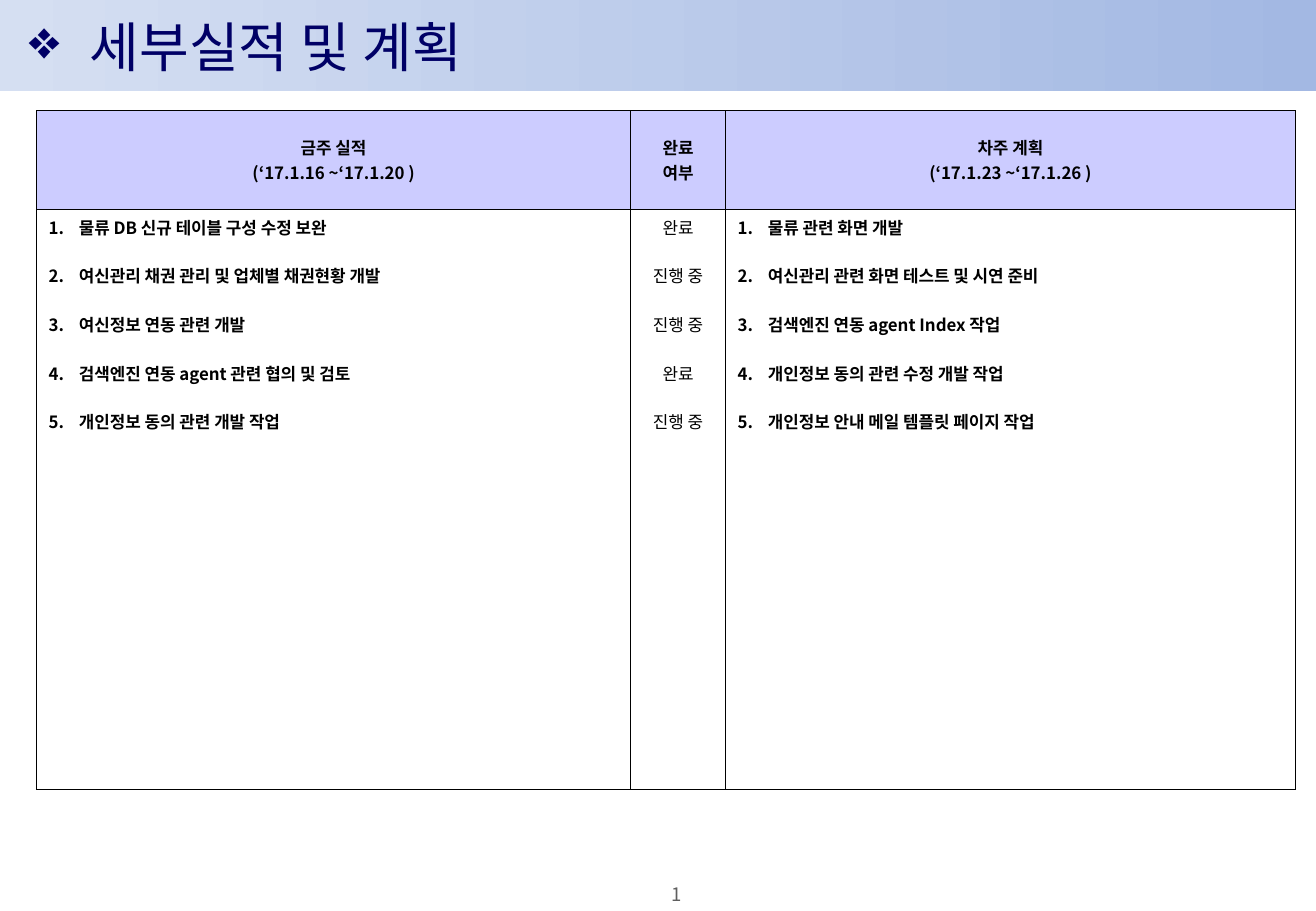
"""Builds the weekly results and plan slide."""
from lxml.etree import SubElement
from pptx import Presentation
from pptx.dml.color import RGBColor
from pptx.enum.shapes import MSO_SHAPE as Shape
from pptx.enum.text import MSO_ANCHOR as Anchor, PP_ALIGN as Align
from pptx.oxml.ns import qn
from pptx.util import Inches, Pt

FONT = "Noto Sans CJK KR"
COLORS = {"title": "000066", "text": "000000", "number": "5F5F5F", "header": "CCCCFF",
          "border": "000000", "band_start": "D5DFF2", "band_end": "A3B8E3"}
SLIDE_WIDTH, SLIDE_HEIGHT = 10.83, 7.5
BAND_HEIGHT = SLIDE_HEIGHT / 10
COLUMN_WIDTHS = [4.89, 0.78, 4.69]
ROW_HEIGHTS = [0.81, 4.78]
ITEM_GAP = 14.4

HEADERS = [["금주 실적", "(‘17.1.16 ~‘17.1.20 )"],
           ["완료", "여부"],
           ["차주 계획", "(‘17.1.23 ~‘17.1.26 )"]]
RESULTS = ["물류 DB 신규 테이블 구성 수정 보완",
           "여신관리 채권 관리 및 업체별 채권현황 개발",
           "여신정보 연동 관련 개발",
           "검색엔진 연동 agent 관련 협의 및 검토",
           "개인정보 동의 관련 개발 작업"]
STATUSES = ["완료", "진행 중", "진행 중", "완료", "진행 중"]
PLANS = ["물류 관련 화면 개발",
         "여신관리 관련 화면 테스트 및 시연 준비",
         "검색엔진 연동 agent Index 작업",
         "개인정보 동의 관련 수정 개발 작업",
         "개인정보 안내 메일 템플릿 페이지 작업"]


def rgb(name):
    """Return the named colour."""
    return RGBColor.from_string(COLORS[name])


def add_bullet(paragraph, indent, tag, **attributes):
    """Give a paragraph a hanging bullet or number."""
    properties = paragraph._p.get_or_add_pPr()
    properties.set("marL", str(Inches(indent)))
    properties.set("indent", str(-Inches(indent)))
    SubElement(properties, qn(tag), **attributes)


def format_runs(paragraph, size, color, bold=False):
    """Set the font of every run in a paragraph."""
    for run in paragraph.runs:
        run.font.size = Pt(size)
        run.font.bold = bold
        run.font.name = FONT
        run.font.color.rgb = rgb(color)
        SubElement(run._r.get_or_add_rPr(), qn("a:ea"), typeface=FONT)


def add_band(slide):
    """Draw the gradient band behind the title."""
    band = slide.shapes.add_shape(Shape.RECTANGLE, 0, 0, Inches(SLIDE_WIDTH), Inches(BAND_HEIGHT))
    band.shadow.inherit = False
    band.line.fill.background()
    band.fill.gradient()
    band.fill.gradient_angle = 0
    for stop, name in zip(band.fill.gradient_stops, ("band_start", "band_end")):
        stop.color.rgb = rgb(name)


def add_text(slide, box, text, size, color):
    """Add a vertically centred line of text and return its frame."""
    frame = slide.shapes.add_textbox(*map(Inches, box)).text_frame
    frame.word_wrap = True
    frame.vertical_anchor = Anchor.MIDDLE
    frame.text = text
    format_runs(frame.paragraphs[0], size, color)
    return frame


def add_title(slide, text):
    """Add the bulleted slide title."""
    frame = add_text(slide, (0.14, 0, 7.08, BAND_HEIGHT), text, 32, "title")
    add_bullet(frame.paragraphs[0], 0.5, "a:buChar", char="❖")


def add_page_number(slide, text):
    """Add the centred page number at the foot."""
    frame = add_text(slide, (5.1, 7.27, 0.94, 0.18), text, 11, "number")
    frame.margin_left = frame.margin_right = frame.margin_top = frame.margin_bottom = 0
    frame.paragraphs[0].alignment = Align.CENTER


def add_borders(cell):
    """Draw thin lines on all four sides of a cell."""
    properties = cell._tc.get_or_add_tcPr()
    for side in ("a:lnL", "a:lnR", "a:lnT", "a:lnB"):
        line = SubElement(properties, qn(side), w=str(Pt(0.5)))
        fill = SubElement(line, qn("a:solidFill"))
        SubElement(fill, qn("a:srgbClr"), val=COLORS["border"])


def fill_cell(cell, lines, bold=True, centered=True, gap=0, numbered=False):
    """Write the lines of a cell, one paragraph each."""
    add_borders(cell)
    cell.text_frame.text = "\n".join(lines)
    for index, paragraph in enumerate(cell.text_frame.paragraphs):
        paragraph.alignment = Align.CENTER if centered else Align.LEFT
        if index and gap:
            paragraph.space_before = Pt(gap)
        if numbered:
            add_bullet(paragraph, 0.25, "a:buAutoNum", type="arabicPeriod")
        format_runs(paragraph, 10, "text", bold)


def add_report_table(slide):
    """Add the table of results, statuses and plans."""
    table = slide.shapes.add_table(len(ROW_HEIGHTS), len(COLUMN_WIDTHS), Inches(0.3), Inches(0.91),
                                   Inches(sum(COLUMN_WIDTHS)), Inches(sum(ROW_HEIGHTS))).table
    table.first_row = table.horz_banding = False
    for column, width in zip(table.columns, COLUMN_WIDTHS):
        column.width = Inches(width)
    for row, height in zip(table.rows, ROW_HEIGHTS):
        row.height = Inches(height)
    for index, (header, items) in enumerate(zip(HEADERS, (RESULTS, STATUSES, PLANS))):
        head, body = table.cell(0, index), table.cell(1, index)
        fill_cell(head, header)
        head.vertical_anchor = Anchor.MIDDLE
        head.fill.solid()
        head.fill.fore_color.rgb = rgb("header")
        is_status = items is STATUSES
        fill_cell(body, items, not is_status, is_status, ITEM_GAP, not is_status)
        body.fill.background()


def main():
    """Build and save the slide."""
    presentation = Presentation()
    presentation.slide_width = Inches(SLIDE_WIDTH)
    presentation.slide_height = Inches(SLIDE_HEIGHT)
    slide = presentation.slides.add_slide(presentation.slide_layouts[6])
    add_band(slide)
    add_page_number(slide, "1")
    add_title(slide, "세부실적 및 계획")
    add_report_table(slide)
    presentation.save("out.pptx")


if __name__ == "__main__":
    main()
